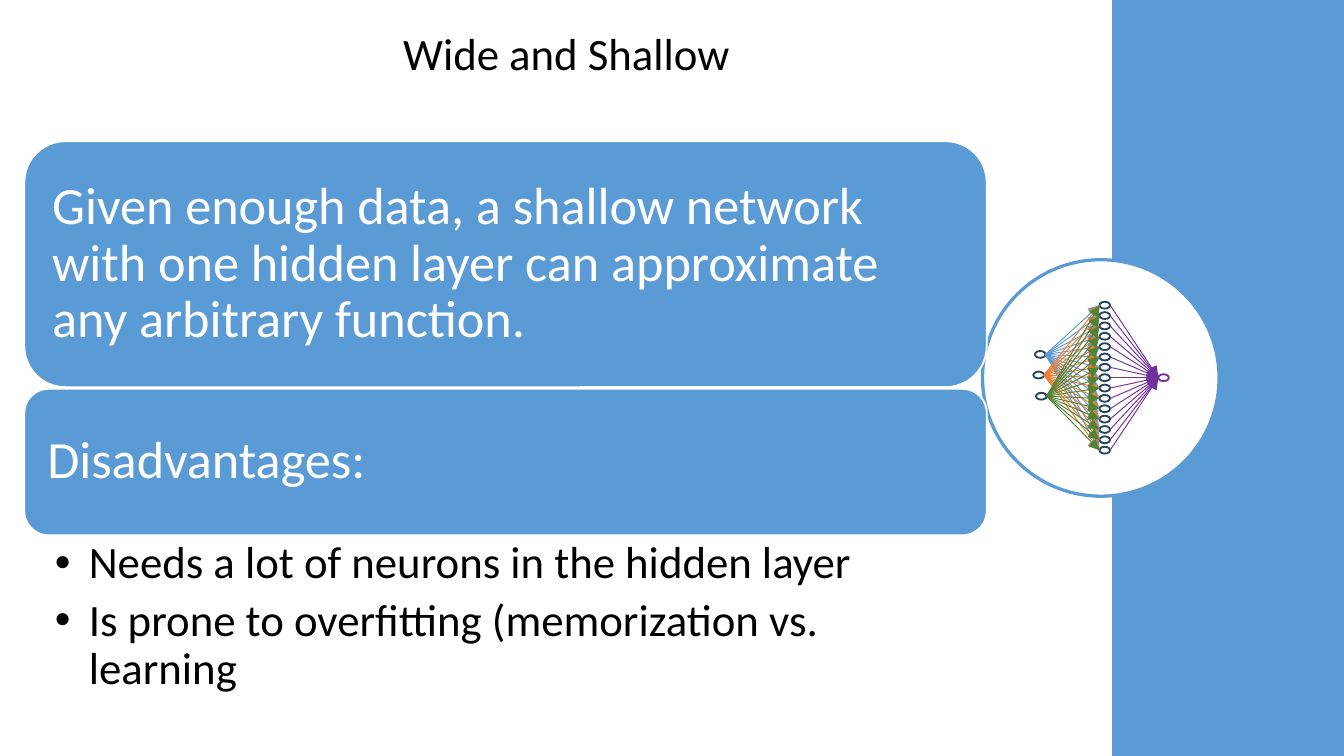
"""Build the "Wide and Shallow" slide with a small network diagram."""
import lxml.etree
import pptx
import pptx.dml.color
import pptx.enum.shapes
import pptx.enum.text
import pptx.oxml.ns
import pptx.util

Cm, Pt = pptx.util.Cm, pptx.util.Pt
RGB = pptx.dml.color.RGBColor.from_string
SHAPE = pptx.enum.shapes.MSO_SHAPE
ALIGN = pptx.enum.text.PP_ALIGN
ANCHOR = pptx.enum.text.MSO_ANCHOR
qn = pptx.oxml.ns.qn


class Theme:
    font = "Calibri"
    body, callout = Pt(24), Pt(28)
    black, white = RGB("000000"), RGB("FFFFFF")
    blue, orange, green = RGB("5B9BD5"), RGB("ED7D31"), RGB("548235")
    purple, navy = RGB("7030A0"), RGB("28445D")


def add_shape(kind, box, fill=None, line=None, width=1):
    sp = s.shapes.add_shape(kind, *map(Cm, box))
    sp.shadow.inherit = False
    if fill is None:
        sp.fill.background()
    else:
        sp.fill.solid()
        sp.fill.fore_color.rgb = fill
    if line is None:
        sp.line.fill.background()
    else:
        sp.line.color.rgb = line
        sp.line.width = Pt(width)
    return sp


def set_text(sp, lines, size, color, align, anchor, insets, after):
    tf = sp.text_frame
    tf.word_wrap = True
    tf.vertical_anchor = anchor
    tf.margin_left, tf.margin_top, tf.margin_right, tf.margin_bottom = map(Cm, insets)
    tf.text = "\n".join(lines)
    for p in tf.paragraphs:
        p.alignment = align
        p.line_spacing = 0.9
        p.space_after = Pt(after)
        for r in p.runs:
            r.font.name, r.font.size, r.font.color.rgb = Theme.font, size, color
    return tf


prs = pptx.Presentation()
prs.slide_width, prs.slide_height = Cm(25.4), Cm(14.29)
s = prs.slides.add_slide(prs.slide_layouts[6])

title = s.shapes.add_textbox(Cm(0.61), Cm(0.38), Cm(20.19), Cm(1.35))
set_text(title, ["Wide and Shallow"], Theme.body, Theme.black, ALIGN.CENTER,
         ANCHOR.MIDDLE, (0.18, 0.1, 0.18, 0.1), 4.5)

add_shape(SHAPE.RECTANGLE, (21.02, 0, 4.38, 14.29), Theme.blue)
add_shape(SHAPE.OVAL, (18.57, 4.91, 4.47, 4.47), Theme.white, Theme.blue, 1.75)

callouts = [
    (2.67, 4.65, "Given enough data, a shallow network with one hidden layer "
                 "can approximate any arbitrary function."),
    (7.35, 2.77, "Disadvantages:"),
]
for top, height, text in callouts:
    sp = add_shape(SHAPE.ROUNDED_RECTANGLE, (0.46, top, 18.19, height), Theme.blue, Theme.white)
    set_text(sp, [text], Theme.callout, Theme.white, ALIGN.LEFT, ANCHOR.MIDDLE, [0.3] * 4, 0)

bullets = s.shapes.add_textbox(Cm(0.46), Cm(10.13), Cm(18.19), Cm(2.08))
tf = set_text(bullets, ["Needs a lot of neurons in the hidden layer",
                        "Is prone to overfitting (memorization vs. learning"],
              Theme.body, Theme.black, ALIGN.LEFT, ANCHOR.TOP, (0.58, 0.08, 0.48, 0.08), 4.8)
for p in tf.paragraphs:
    p.level = 1
    pPr = p._p.get_or_add_pPr()
    pPr.set("marL", str(Cm(0.64)))
    pPr.set("indent", str(-Cm(0.64)))
    lxml.etree.SubElement(pPr, qn("a:buFont")).set("typeface", "Arial")
    lxml.etree.SubElement(pPr, qn("a:buChar")).set("char", "•")

node_w, node_h = 0.2, 0.13
hidden_x, first_y, last_y, hidden_count = 20.78, 5.77, 8.51, 15
hidden_ys = [first_y + (last_y - first_y) * i / (hidden_count - 1) for i in range(hidden_count)]
inputs = [(19.56, 6.7, Theme.blue), (19.53, 7.09, Theme.orange), (19.58, 7.49, Theme.green)]
output_x, output_y = 21.89, 7.14

nodes = [(hidden_x, y, Theme.navy) for y in hidden_ys]
nodes += [(x, y, Theme.navy) for x, y, color in inputs]
nodes.append((output_x, output_y, Theme.purple))
for x, y, color in nodes:
    add_shape(SHAPE.OVAL, (x, y - node_h / 2, node_w, node_h), line=color)

links = [(x + node_w, y, hidden_x, hidden_y, color)
         for x, y, color in inputs for hidden_y in hidden_ys]
links += [(hidden_x + node_w, y, output_x, output_y, Theme.purple) for y in hidden_ys]
for *ends, color in links:
    link = s.shapes.add_connector(pptx.enum.shapes.MSO_CONNECTOR.STRAIGHT, *map(Cm, ends))
    link.line.color.rgb = color
    link.line.width = Pt(0.5)
    spPr = link._element.spPr
    lxml.etree.SubElement(spPr.find(qn("a:ln")), qn("a:tailEnd")).set("type", "triangle")
    lxml.etree.SubElement(spPr, qn("a:effectLst"))

prs.save("out.pptx")
